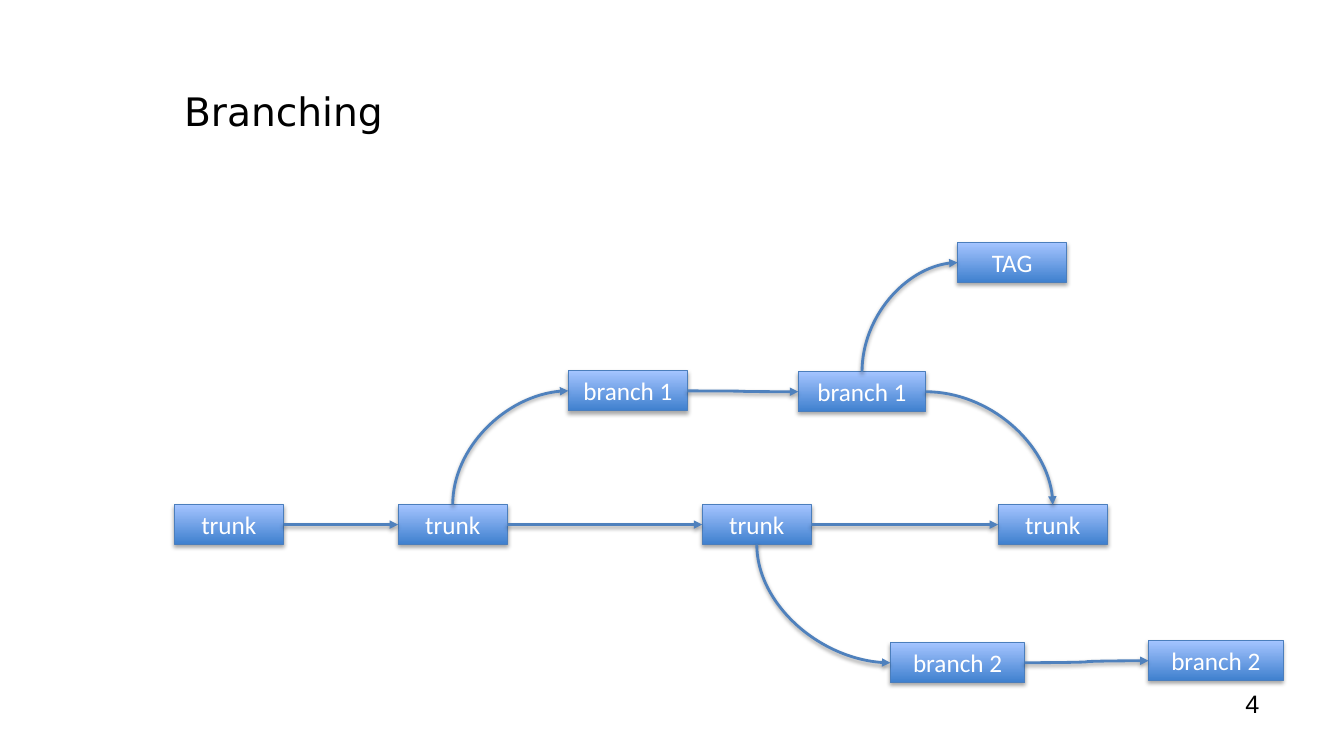
from lxml import etree
from pptx import Presentation
from pptx.dml.color import RGBColor
from pptx.enum.shapes import MSO_CONNECTOR as CONN, MSO_SHAPE as SHAPE
from pptx.enum.text import MSO_ANCHOR as ANCHOR, PP_ALIGN as ALIGN
from pptx.oxml.ns import qn
from pptx.util import Pt

COLORS = {
    "text": "000000", "box_text": "FFFFFF", "box_bottom": "3F80CE",
    "box_top": "A4C4FF", "box_line": "4B7EBC", "arrow": "4F81BD", "shadow": "000000",
}
TOP, LEFT, BOTTOM, RIGHT = range(4)  # connection sites of a rectangle
BOX_H = 28.4


def rgb(name):
    return RGBColor.from_string(COLORS[name])


def add_shadow(shape, alpha, dist):
    effects = etree.SubElement(shape._element.spPr, qn("a:effectLst"))
    shadow = etree.SubElement(effects, qn("a:outerShdw"), blurRad=str(Pt(3.1)),
                              dist=str(Pt(dist)), dir="5400000", rotWithShape="0")
    color = etree.SubElement(shadow, qn("a:srgbClr"), val=COLORS["shadow"])
    etree.SubElement(color, qn("a:alpha"), val=str(alpha * 1000))


prs = Presentation()
prs.slide_width, prs.slide_height = Pt(960), Pt(540)
s = prs.slides.add_slide(prs.slide_layouts[6])

# Title and slide number
for text, box, size, font, anchor in [
    ("Branching", (124.5, 34, 756, 90), 28, "DejaVu Sans", ANCHOR.MIDDLE),
    ("4", (882.5, 488, 48, 29), 18, "Arial", ANCHOR.TOP),
]:
    tf = s.shapes.add_textbox(*map(Pt, box)).text_frame
    tf.word_wrap = True
    tf.vertical_anchor = anchor
    tf.text = text
    r = tf.paragraphs[0].runs[0]
    r.font.size, r.font.name = Pt(size), font
    r.font.color.rgb = rgb("text")

# Revisions: key, label, left, top, width
boxes = {}
for key, label, x, y, w in [
    ("trunk a", "trunk", 124.5, 360.5, 78),
    ("trunk b", "trunk", 284.4, 360.5, 78),
    ("trunk c", "trunk", 501.6, 360.5, 78),
    ("trunk d", "trunk", 713, 360.5, 78),
    ("branch 1a", "branch 1", 406, 265, 85),
    ("branch 1b", "branch 1", 570.2, 265.6, 91),
    ("tag", "TAG", 684, 173.4, 78),
    ("branch 2a", "branch 2", 636, 459.2, 96),
    ("branch 2b", "branch 2", 820.5, 457.8, 96),
]:
    sp = s.shapes.add_shape(SHAPE.RECTANGLE, Pt(x), Pt(y), Pt(w), Pt(BOX_H))
    sp.fill.gradient()
    sp.fill.gradient_angle = 90
    for stop, position, name in zip(sp.fill.gradient_stops, (0, 1), ("box_bottom", "box_top")):
        stop.position = position
        stop.color.rgb = rgb(name)
    sp.line.color.rgb = rgb("box_line")
    sp.line.width = Pt(0.75)
    add_shadow(sp, 35, 1.8)
    tf = sp.text_frame
    tf.text = label
    tf.vertical_anchor = ANCHOR.MIDDLE
    p = tf.paragraphs[0]
    p.alignment = ALIGN.CENTER
    r = p.runs[0]
    r.font.size, r.font.name = Pt(18), "Calibri"
    r.font.color.rgb = rgb("box_text")
    boxes[key] = sp

# Arrows: start box and site, end box and site
for start, start_site, end, end_site in [
    ("trunk a", RIGHT, "trunk b", LEFT),
    ("trunk b", RIGHT, "trunk c", LEFT),
    ("trunk c", RIGHT, "trunk d", LEFT),
    ("branch 1a", RIGHT, "branch 1b", LEFT),
    ("branch 2a", RIGHT, "branch 2b", LEFT),
    ("trunk b", TOP, "branch 1a", LEFT),
    ("branch 1b", TOP, "tag", LEFT),
    ("branch 1b", RIGHT, "trunk d", TOP),
    ("trunk c", BOTTOM, "branch 2a", LEFT),
]:
    c = s.shapes.add_connector(CONN.CURVE, 0, 0, 0, 0)
    c.begin_connect(boxes[start], start_site)
    c.end_connect(boxes[end], end_site)
    c.line.color.rgb = rgb("arrow")
    c.line.width = Pt(2)
    etree.SubElement(c.line._get_or_add_ln(), qn("a:tailEnd"), type="triangle")
    add_shadow(c, 38, 1.6)

    # A quarter turn has one bend; leaving vertically needs a rotated frame
    spPr = c._element.spPr
    if (start_site, end_site) != (RIGHT, LEFT):
        spPr.find(qn("a:prstGeom")).set("prst", "curvedConnector2")
    if start_site in (TOP, BOTTOM):
        x, y, w, h = c.left, c.top, c.width, c.height
        c.left, c.top = x + (w - h) // 2, y + (h - w) // 2
        c.width, c.height = h, w
        xfrm = spPr.find(qn("a:xfrm"))
        xfrm.set("rot", "5400000" if start_site == TOP else "16200000")
        xfrm.set("flipH", "1")
        xfrm.set("flipV", "1" if start_site == TOP else "0")

prs.save("out.pptx")
